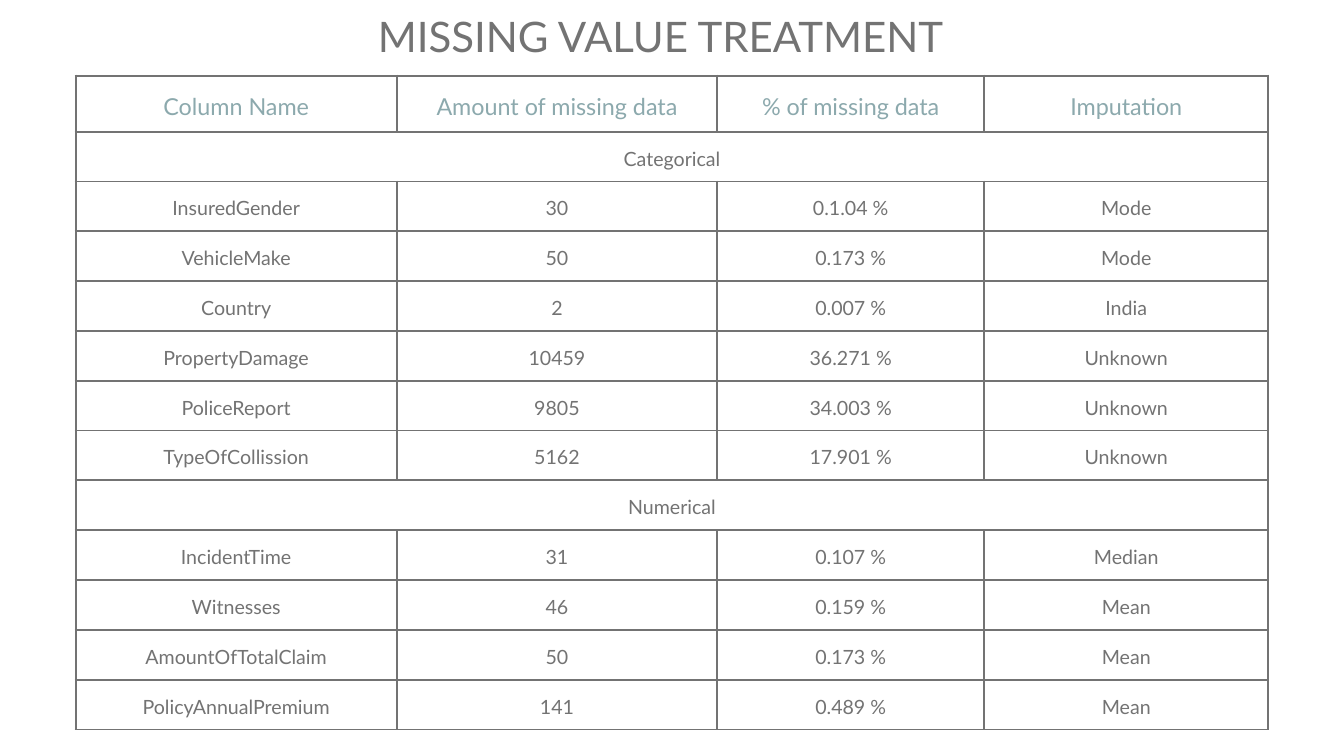
from dataclasses import dataclass

from lxml.etree import fromstring
from pptx import Presentation
from pptx.dml.color import RGBColor
from pptx.enum.text import MSO_ANCHOR, MSO_AUTO_SIZE, PP_ALIGN
from pptx.oxml.ns import nsdecls
from pptx.util import Pt


@dataclass(frozen=True)
class Theme:
    font: str = "Lato"
    background: str = "FFFFFF"
    grey: str = "737373"
    teal: str = "8CA9AD"
    title_size: float = 45
    header_size: float = 25
    body_size: float = 21
    border: float = 2.25


theme = Theme()


def write(tf, text, size, color, spacing, align):
    p = tf.paragraphs[0]
    for name, value in {"alignment": align, "line_spacing": Pt(spacing),
                        "space_before": Pt(0), "space_after": Pt(0)}.items():
        setattr(p, name, value)
    r = p.add_run()
    r.text = text
    for name, value in {"name": theme.font, "size": Pt(size), "bold": False}.items():
        setattr(r.font, name, value)
    r.font.color.rgb = RGBColor.from_string(color)


def add_borders(cell):
    """Draw all four edges; they must come before the fill in tcPr."""
    tcPr = cell._tc.get_or_add_tcPr()
    for i, edge in enumerate(("lnL", "lnR", "lnT", "lnB")):
        tcPr.insert(i, fromstring(
            f'<a:{edge} {nsdecls("a")} w="{Pt(theme.border)}">'
            f'<a:solidFill><a:srgbClr val="{theme.grey}"/></a:solidFill>'
            f'<a:prstDash val="solid"/></a:{edge}>'))


prs = Presentation()
prs.slide_width, prs.slide_height = Pt(1440), Pt(810)
s = prs.slides.add_slide(prs.slide_layouts[5])
s.background.fill.solid()
s.background.fill.fore_color.rgb = RGBColor.from_string(theme.background)

# Title
title = s.shapes.title
for name, value in {"left": 404.8, "top": 16, "width": 630, "height": 51}.items():
    setattr(title, name, Pt(value))
tf = title.text_frame
for name, value in {"margin_left": 0, "margin_right": 0, "margin_top": 0, "margin_bottom": 0,
                    "vertical_anchor": MSO_ANCHOR.TOP, "word_wrap": True,
                    "auto_size": MSO_AUTO_SIZE.SHAPE_TO_FIT_TEXT}.items():
    setattr(tf, name, value)
write(tf, "MISSING VALUE TREATMENT", theme.title_size, theme.grey, 49.5, PP_ALIGN.LEFT)

# Table: a row with a single entry is a section heading across all columns
rows = [
    ("Column Name", "Amount of missing data", "% of missing data", "Imputation"),
    ("Categorical",),
    ("InsuredGender", "30", "0.1.04 %", "Mode"),
    ("VehicleMake", "50", "0.173 %", "Mode"),
    ("Country", "2", "0.007 %", "India"),
    ("PropertyDamage", "10459", "36.271 %", "Unknown"),
    ("PoliceReport", "9805", "34.003 %", "Unknown"),
    ("TypeOfCollission", "5162", "17.901 %", "Unknown"),
    ("Numerical",),
    ("IncidentTime", "31", "0.107 %", "Median"),
    ("Witnesses", "46", "0.159 %", "Mean"),
    ("AmountOfTotalClaim", "50", "0.173 %", "Mean"),
    ("PolicyAnnualPremium", "141", "0.489 %", "Mean"),
]
col_widths = [344, 343.5, 286, 304.5]
row_heights = [60] + [53.4] * (len(rows) - 1)

table = s.shapes.add_table(len(rows), len(col_widths), Pt(81), Pt(81),
                           Pt(sum(col_widths)), Pt(sum(row_heights))).table
table.first_row = table.horz_banding = False
for column, width in zip(table.columns, col_widths):
    column.width = Pt(width)

for i, (row, height) in enumerate(zip(rows, row_heights)):
    table.rows[i].height = Pt(height)
    size, color = (theme.body_size, theme.grey) if i else (theme.header_size, theme.teal)
    for cell in table.rows[i].cells:
        for side in ("left", "right", "top", "bottom"):
            setattr(cell, f"margin_{side}", Pt(10))
        cell.vertical_anchor = MSO_ANCHOR.MIDDLE
        cell.fill.background()
        add_borders(cell)
    if len(row) == 1:
        table.cell(i, 0).merge(table.cell(i, len(col_widths) - 1))
    for j, text in enumerate(row):
        write(table.cell(i, j).text_frame, text, size, color, size * 1.4, PP_ALIGN.CENTER)

prs.save("out.pptx")
